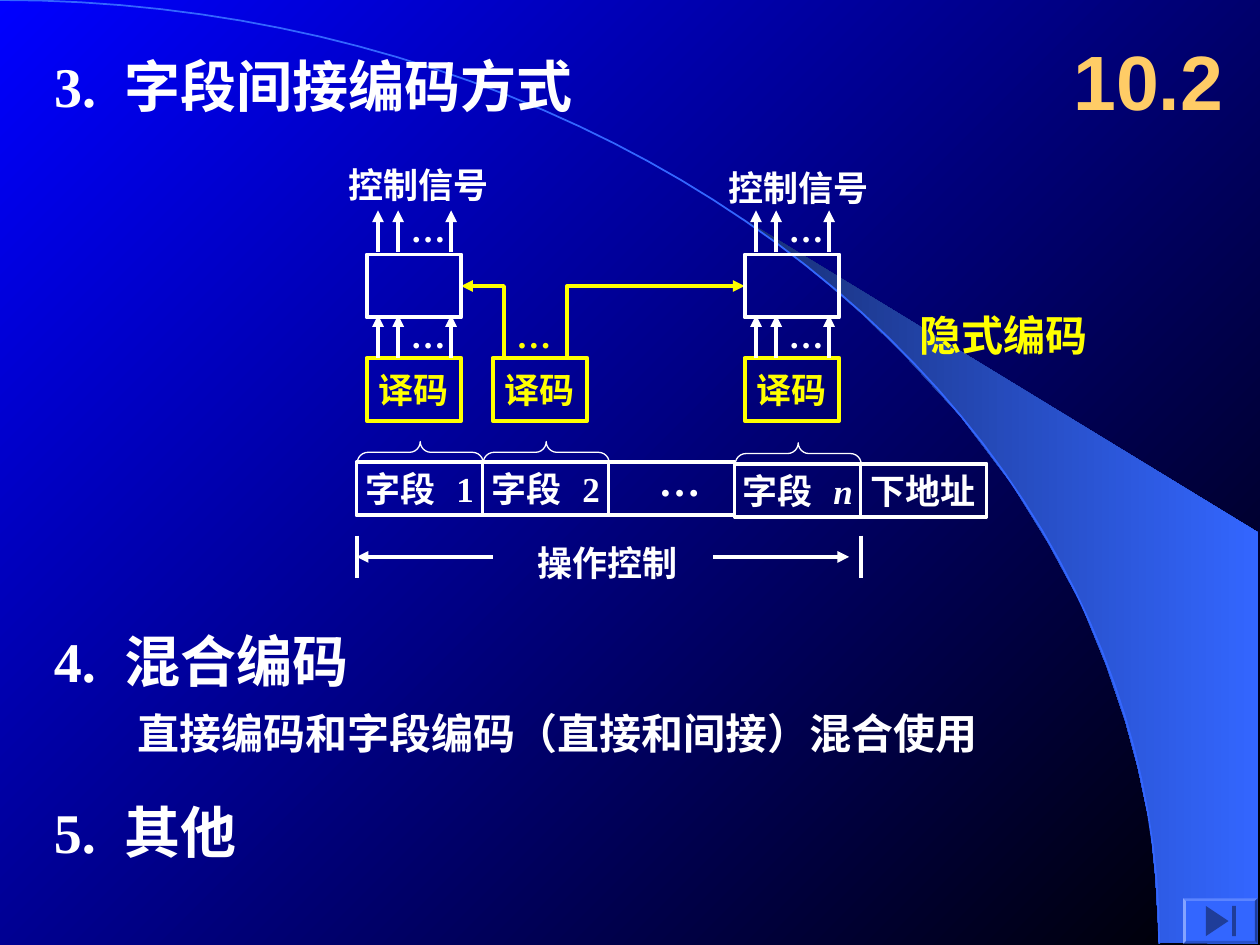
import math
import pptx
import pptx.dml.color
import pptx.enum.shapes
import pptx.enum.text
import pptx.oxml
import pptx.oxml.ns
import pptx.util
from lxml import etree

Inches = pptx.util.Inches
RGBColor = pptx.dml.color.RGBColor
SHAPE = pptx.enum.shapes.MSO_SHAPE
ANCHOR = pptx.enum.text.MSO_ANCHOR
ALIGN = pptx.enum.text.PP_ALIGN
FIT = pptx.enum.text.MSO_AUTO_SIZE
STRAIGHT = pptx.enum.shapes.MSO_CONNECTOR.STRAIGHT

WHITE = RGBColor(0xFF, 0xFF, 0xFF)
YELLOW = RGBColor(0xFF, 0xFF, 0x00)
GOLD = RGBColor(0xFF, 0xCC, 0x66)
BLUE = RGBColor(0x00, 0x00, 0xFF)
BLACK = RGBColor(0x00, 0x00, 0x00)
SKY = RGBColor(0x33, 0x66, 0xFF)
NAVY = RGBColor(0x18, 0x2F, 0x76)
ICON = RGBColor(0x1F, 0x3D, 0x99)


def write_text(box, *spans, size=20, color=WHITE, font="Times New Roman", align=ALIGN.LEFT,
               anchor=ANCHOR.TOP, wrap=False, fit=FIT.SHAPE_TO_FIT_TEXT):
    frame = box.text_frame
    frame.word_wrap = wrap
    frame.auto_size = fit
    frame.vertical_anchor = anchor
    para = frame.paragraphs[0]
    para.alignment = align
    for text in spans:
        span = para.add_run()
        span.text = text
        span.font.size = pptx.util.Pt(size)
        span.font.bold = True
        span.font.italic = text == "n"
        span.font.color.rgb = color
        span.font.name = font
        properties = span.font._element
        etree.SubElement(properties, pptx.oxml.ns.qn("a:ea")).set("typeface", "DejaVu Sans")
        if text == " ":
            properties.set("spc", str(size * 25))


def outline(shape, color=WHITE, width=2.25, arrow=False):
    shape.line.color.rgb = color
    shape.line.width = pptx.util.Pt(width)
    if arrow:
        tail = etree.SubElement(shape.line._get_or_add_ln(), pptx.oxml.ns.qn("a:tailEnd"))
        tail.set("type", "triangle")
    etree.SubElement(shape.element.spPr, pptx.oxml.ns.qn("a:effectLst"))


deck = pptx.Presentation()
deck.slide_width = Inches(10)
deck.slide_height = Inches(7.5)
slide = deck.slides.add_slide(deck.slide_layouts[5])
shapes = slide.shapes
title = shapes.title

backdrop = slide.background.fill
backdrop.gradient()
backdrop.gradient_angle = 315
backdrop.gradient_stops[0].color.rgb = BLUE
backdrop.gradient_stops[1].color.rgb = BLACK

beam_points = [
    (9.2, 7.48), (9.99, 7.49), (9.99, 4.23), (5.89, 1.73), (6.24, 1.99), (6.53, 2.22),
    (6.85, 2.5), (7.16, 2.8), (7.62, 3.3), (8.03, 3.84), (8.32, 4.31), (8.58, 4.79),
    (8.78, 5.28), (8.93, 5.72), (9.03, 6.09), (9.13, 6.56), (9.17, 6.96)]
arc_angles = [math.radians(degree) for degree in range(0, 91, 2)]
arc_points = [(9.2 * math.sin(angle), 7.49 - 7.49 * math.cos(angle)) for angle in arc_angles]
left_route = [(4, 2.85), (4, 2.27), (3.66, 2.27)]
right_route = [(4.5, 2.85), (4.5, 2.27), (5.91, 2.27)]

outlines = []
for points, closed in [(beam_points, True), (arc_points, False),
                       (left_route, False), (right_route, False)]:
    corners = [(Inches(x), Inches(y)) for x, y in points]
    builder = shapes.build_freeform(*corners[0])
    builder.add_line_segments(corners[1:], close=closed)
    shape = builder.convert_to_shape()
    shape.fill.background()
    outlines.append(shape)

beam, arc, left_arrow, right_arrow = outlines
beam.fill.gradient()
beam.fill.gradient_angle = 0
beam.fill.gradient_stops[0].color.rgb = NAVY
beam.fill.gradient_stops[1].color.rgb = SKY
beam.line.fill.background()
beam.shadow.inherit = False
outline(arc, SKY, 1)
outline(left_arrow, YELLOW, arrow=True)
outline(right_arrow, YELLOW, arrow=True)
for decoration in (beam, arc):
    title.element.addprevious(decoration.element)

title.left, title.top = Inches(0.33), Inches(0.36)
title.width, title.height = Inches(8.58), Inches(0.64)
write_text(title, "3.", " ", "字段间接编码方式", size=32, wrap=True)

for left, top, width, height, spans, style in [
    (0.33, 4.92, 7.32, 0.64, ("4.", " ", "混合编码"), {"size": 32, "wrap": True}),
    (0.99, 5.57, 8.35, 0.5, ("直接编码和字段编码（直接和间接）混合使用",), {"size": 24, "wrap": True}),
    (0.33, 6.28, 6.06, 0.64, ("5.", " ", "其他"), {"size": 32, "wrap": True}),
    (8.42, 0.17, 1.58, 0.92, ("10.2",), {"size": 44, "color": GOLD, "font": "Arial", "wrap": True,
                                        "anchor": ANCHOR.MIDDLE, "fit": FIT.NONE}),
    (7.2, 2.41, 2.36, 0.5, ("隐式编码",), {"size": 24, "color": YELLOW, "wrap": True}),
    (2.67, 1.25, 1.31, 0.44, ("控制信号",), {}),
    (5.68, 1.27, 1.31, 0.44, ("控制信号",), {}),
    (4.17, 4.25, 1.31, 0.44, ("操作控制",), {}),
    (3.16, 1.6, 0.48, 0.44, ("…",), {}),
    (6.16, 1.6, 0.48, 0.44, ("…",), {}),
    (3.16, 2.44, 0.48, 0.44, ("…",), {}),
    (6.16, 2.44, 0.48, 0.44, ("…",), {}),
    (4, 2.44, 0.48, 0.44, ("…",), {"color": YELLOW}),
    (5.13, 3.56, 0.53, 0.5, ("…",), {"size": 24}),
]:
    box = shapes.add_textbox(Inches(left), Inches(top), Inches(width), Inches(height))
    write_text(box, *spans, **style)

fields = [(2.83, 3.67, 1, 0.42, spans, WHITE) for spans in [("字段", " ", "1")]]
fields += [
    (3.83, 3.67, 1, 0.42, ("字段", " ", "2"), WHITE),
    (4.83, 3.67, 1, 0.42, (), WHITE),
    (5.83, 3.68, 1, 0.42, ("字段", " ", "n"), WHITE),
    (6.83, 3.68, 1, 0.42, ("下地址",), WHITE),
]
decoders = [(left, 2.84, 0.75, 0.5, ("译码",), YELLOW) for left in (2.91, 3.91, 5.91)]
signal_boxes = [(left, 2.02, 0.75, 0.5, (), WHITE) for left in (2.91, 5.91)]
for left, top, width, height, spans, color in fields + decoders + signal_boxes:
    cell = shapes.add_shape(SHAPE.RECTANGLE, Inches(left), Inches(top),
                            Inches(width), Inches(height))
    cell.fill.background()
    outline(cell, color)
    if spans:
        write_text(cell, *spans, color=color, align=ALIGN.CENTER,
                   anchor=ANCHOR.MIDDLE, fit=FIT.NONE)

for left, top in [(3.25, 3.09), (4.25, 3.09), (6.25, 3.1)]:
    brace = shapes.add_shape(SHAPE.LEFT_BRACE, Inches(left), Inches(top), Inches(0.17), Inches(1))
    brace.rotation = 90
    brace.adjustments[0] = 0.5
    brace.fill.background()
    outline(brace, width=0.75)

lines = [(x, bottom, x, top, True)
         for start in (3, 6)
         for bottom, top in ((2.84, 2.5), (2, 1.67))
         for x in (start, start + 0.16, start + 0.58)]
lines += [(x, 4.25, x, 4.59, False) for x in (2.83, 6.83)]
lines += [(3.91, 4.42, 2.83, 4.42, True), (5.66, 4.42, 6.74, 4.42, True)]
for x1, y1, x2, y2, arrow in lines:
    line = shapes.add_connector(STRAIGHT, Inches(x1), Inches(y1), Inches(x2), Inches(y2))
    outline(line, arrow=arrow)

for kind, left, top, width, height, color, turn in [
    (SHAPE.BEVEL, 9.39, 7.13, 0.59, 0.36, SKY, 0),
    (SHAPE.ISOSCELES_TRIANGLE, 9.54, 7.22, 0.24, 0.18, ICON, 90),
    (SHAPE.RECTANGLE, 9.78, 7.19, 0.03, 0.24, ICON, 0),
]:
    part = shapes.add_shape(kind, Inches(left), Inches(top), Inches(width), Inches(height))
    part.rotation = turn
    part.fill.solid()
    part.fill.fore_color.rgb = color
    part.line.fill.background()
    part.shadow.inherit = False
    if kind == SHAPE.BEVEL:
        part.adjustments[0] = 0.06

deck.save("out.pptx")
